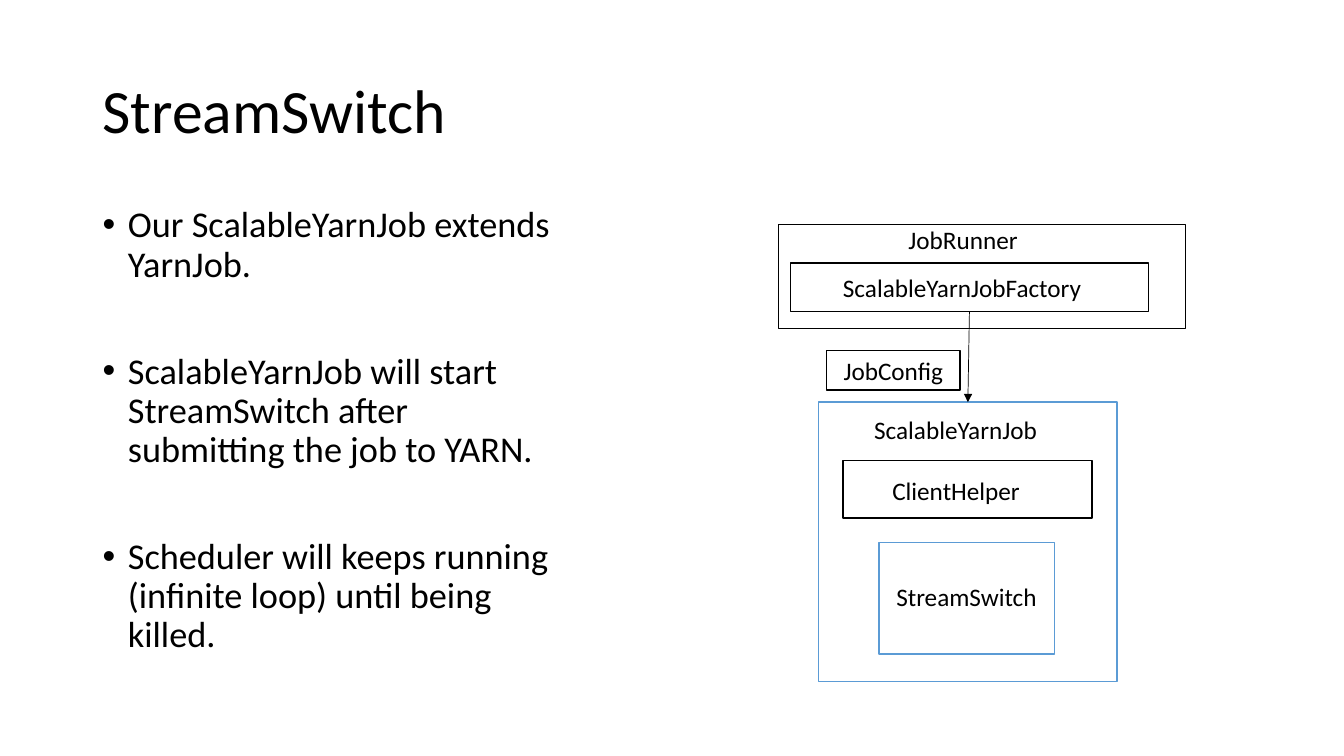
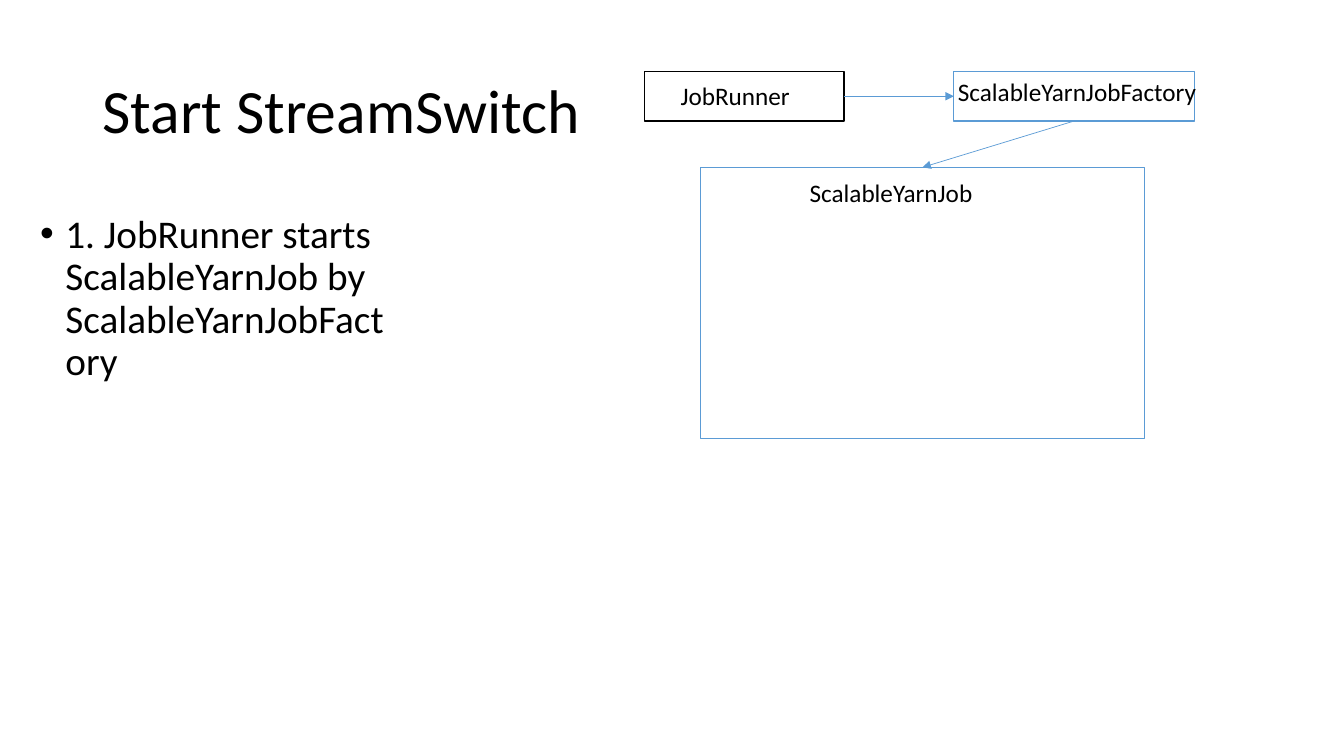
import dataclasses
import lxml.etree
import pptx
import pptx.dml.color
import pptx.enum.shapes
import pptx.enum.text
import pptx.oxml.ns
import pptx.util

Inches = pptx.util.Inches
Pt = pptx.util.Pt
qn = pptx.oxml.ns.qn
TOP, LEFT, BOTTOM, RIGHT = range(4)


@dataclasses.dataclass(frozen=True)
class Theme:
    font: str = "Calibri"
    black: str = "000000"
    white: str = "FFFFFF"
    blue: str = "5B9BD5"
    title_size: float = 44
    label_size: float = 18
    box_line: float = 1
    arrow_line: float = 0.5
    line_spacing: float = 0.9
    indent: float = 0.25


THEME = Theme()


def rgb(color):
    return pptx.dml.color.RGBColor.from_string(color)


def style_runs(p, size):
    for r in p.runs:
        r.font.name = THEME.font
        r.font.size = Pt(size)
        r.font.color.rgb = rgb(THEME.black)


def add_text_box(s, left, top, width, height):
    tf = s.shapes.add_textbox(*map(Inches, (left, top, width, height))).text_frame
    tf.word_wrap = True
    return tf


def add_title(s, text):
    tf = add_text_box(s, 0.92, 0.4, 11.5, 1.45)
    tf.vertical_anchor = pptx.enum.text.MSO_ANCHOR.MIDDLE
    tf.text = text
    p = tf.paragraphs[0]
    p.line_spacing = THEME.line_spacing
    style_runs(p, THEME.title_size)


def add_bullets(s, items, left, top, width, height, size, gap=0):
    tf = add_text_box(s, left, top, width, height)
    tf.text = "\n".join(items)
    for i, p in enumerate(tf.paragraphs):
        p.line_spacing = THEME.line_spacing
        p.space_before = Pt(gap if i else 0)
        pPr = p._p.get_or_add_pPr()
        pPr.set("marL", str(Inches(THEME.indent)))
        pPr.set("indent", str(-Inches(THEME.indent)))
        lxml.etree.SubElement(pPr, qn("a:buFont")).set("typeface", "Arial")
        lxml.etree.SubElement(pPr, qn("a:buChar")).set("char", "•")
        style_runs(p, size)


def add_box(s, text, left, top, width, height, color, inset=None, wrap=True):
    """Outlined box; its label starts at inset, or is centred without one."""
    sp = s.shapes.add_shape(pptx.enum.shapes.MSO_SHAPE.RECTANGLE,
                            *map(Inches, (left, top, width, height)))
    sp.shadow.inherit = False
    sp.fill.solid()
    sp.fill.fore_color.rgb = rgb(THEME.white)
    sp.line.color.rgb = rgb(color)
    sp.line.width = Pt(THEME.box_line)
    tf = sp.text_frame
    tf.text = text
    tf.word_wrap = wrap
    p = tf.paragraphs[0]
    style_runs(p, THEME.label_size)
    dx, dy = inset or (0, 0)
    tf.margin_left, tf.margin_top = Inches(dx), Inches(dy)
    tf.margin_right = tf.margin_bottom = 0
    if inset:
        tf.vertical_anchor = pptx.enum.text.MSO_ANCHOR.TOP
        p.alignment = pptx.enum.text.PP_ALIGN.LEFT
    else:
        tf.vertical_anchor = pptx.enum.text.MSO_ANCHOR.MIDDLE
        p.alignment = pptx.enum.text.PP_ALIGN.CENTER
    return sp


def add_arrow(s, start, start_side, end, end_side, color):
    line = s.shapes.add_connector(pptx.enum.shapes.MSO_CONNECTOR.STRAIGHT, 0, 0, 0, 0)
    line.begin_connect(start, start_side)
    line.end_connect(end, end_side)
    line.line.color.rgb = rgb(color)
    line.line.width = Pt(THEME.arrow_line)
    lxml.etree.SubElement(line.line._get_or_add_ln(), qn("a:tailEnd")).set("type", "triangle")
    lxml.etree.SubElement(line._element.spPr, qn("a:effectLst"))


def add_structure_diagram(s, x, y):
    black, blue = THEME.black, THEME.blue
    # Runner with its factory
    add_box(s, "JobRunner", x, y, 4.04, 1.03, black, (1.29, 0))
    factory = add_box(s, "ScalableYarnJobFactory", x + 0.12, y + 0.38, 3.55, 0.48,
                      black, (0.52, 0.09))
    # Job with its parts
    job = add_box(s, "ScalableYarnJob", x + 0.4, y + 1.76, 2.96, 2.77, blue, (0.55, 0.12))
    add_box(s, "ClientHelper", x + 0.64, y + 2.34, 2.47, 0.57, black, (0.49, 0.15))
    add_box(s, "StreamSwitch", x + 1, y + 3.15, 1.74, 1.11, blue, (0.17, 0.39))
    # Configuration passed from factory to job
    add_arrow(s, factory, BOTTOM, job, TOP, black)
    add_box(s, "JobConfig", x + 0.48, y + 1.25, 1.32, 0.39, black)


def add_start_diagram(s, x, y):
    blue = THEME.blue
    runner = add_box(s, "JobRunner", x, y, 1.98, 0.49, THEME.black, (0.36, 0.09))
    factory = add_box(s, "ScalableYarnJobFactory", x + 3.07, y, 2.39, 0.49, blue,
                      (0.04, 0.05), wrap=False)
    job = add_box(s, "ScalableYarnJob", x + 0.56, y + 0.95, 4.4, 2.69, blue, (1.08, 0.1))
    add_arrow(s, runner, RIGHT, factory, LEFT, blue)
    add_arrow(s, factory, BOTTOM, job, TOP, blue)


def add_slide(prs, title):
    s = prs.slides.add_slide(prs.slide_layouts[6])
    add_title(s, title)
    return s


def main():
    prs = pptx.Presentation()
    prs.slide_width, prs.slide_height = Inches(13.33), Inches(7.5)

    # Structure of the job
    s = add_slide(prs, "StreamSwitch")
    add_bullets(s, [
        "Our ScalableYarnJob extends YarnJob.",
        "ScalableYarnJob will start StreamSwitch after submitting the job to YARN.",
        "Scheduler will keeps running (infinite loop) until being killed.",
    ], 0.92, 2, 4.71, 4.76, size=25.9, gap=48.5)
    add_structure_diagram(s, 7.72, 2.23)

    # Start sequence
    s = add_slide(prs, "Start StreamSwitch")
    add_bullets(s, ["1. JobRunner starts ScalableYarnJob by ScalableYarnJobFactory"],
                0.3, 2.08, 3.78, 4.76, size=28)
    add_start_diagram(s, 6.39, 0.71)

    prs.save("out.pptx")


if __name__ == "__main__":
    main()
